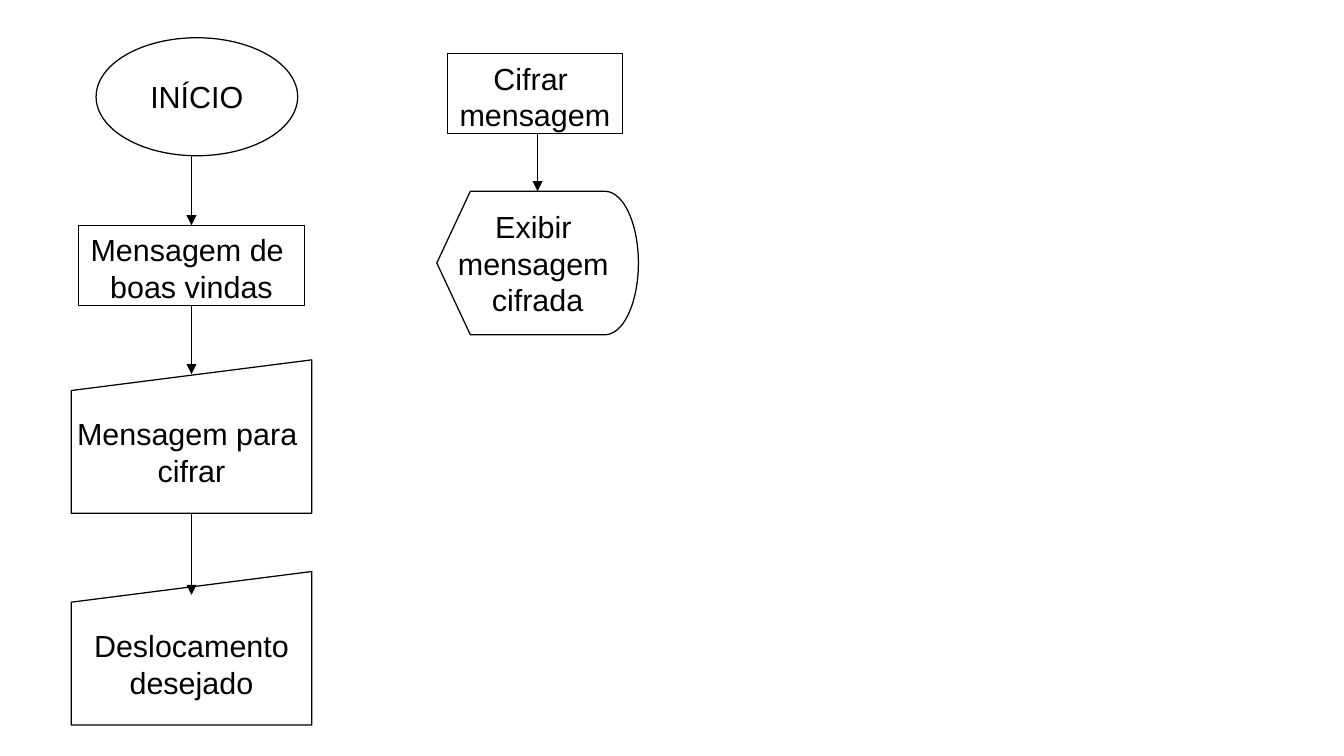
"""Draw the cipher flowchart: two columns of steps joined by arrows."""
from pptx import Presentation, util as u
from pptx.dml.color import RGBColor
from pptx.enum import shapes, text
from pptx.oxml.ns import qn
from lxml import etree

deck = Presentation()
deck.slide_width, deck.slide_height = u.Inches(11.02), u.Inches(6.2)
slide = deck.slides.add_slide(deck.slide_layouts[6])
col, row = deck.slide_width / 100, deck.slide_height / 100
kind = shapes.MSO_SHAPE
mid, top = text.MSO_ANCHOR.MIDDLE, text.MSO_ANCHOR.TOP


def paint(part, tone):
    part.solid()
    part.fore_color.rgb = RGBColor.from_string(tone)


def edge(line):
    paint(line.fill, "000000")
    line.width = u.Pt(0.75)


# Each step: preset, shift, top, width, height, arrow dip, anchor, wording
steps = {
    14.25: [
        (kind.OVAL, 0.4, 5, 15, 15.6, 0, mid, "INÍCIO"),
        (kind.RECTANGLE, 0, 29.8, 16.8, 10.6, 0, top, "Mensagem de \nboas vindas"),
        (kind.FLOWCHART_MANUAL_INPUT, 0, 47.6, 17.9, 20.3, 1.9, mid, "Mensagem para \ncifrar"),
        (kind.FLOWCHART_MANUAL_INPUT, 0, 75.6, 17.9, 20.3, 3.1, mid, "Deslocamento\ndesejado"),
    ],
    40: [
        (kind.RECTANGLE, -0.2, 7.1, 13, 10.6, 0, top, "Cifrar \nmensagem"),
        (kind.FLOWCHART_DISPLAY, 0, 25.3, 15, 19, 0, mid, "Exibir \nmensagem \ncifrada"),
    ],
}

for axis, chain in steps.items():
    last = None
    for form, shift, y, wide, high, dip, anchor, words in chain:
        left = axis + shift - wide / 2
        box = slide.shapes.add_shape(
            form, int(left * col), int(y * row), int(wide * col), int(high * row))
        box.shadow.inherit = False
        paint(box.fill, "FFFFFF")
        edge(box.line)
        frame = box.text_frame
        frame.text = words
        frame.word_wrap = False
        frame.vertical_anchor = anchor
        for para in frame.paragraphs:
            para.alignment = text.PP_ALIGN.CENTER
            for run in para.runs:
                run.font.name, run.font.size = "Arial", u.Pt(18)
                paint(run.font.fill, "000000")
        if last is not None:
            x = int(axis * col)
            link = slide.shapes.add_connector(
                shapes.MSO_CONNECTOR.STRAIGHT, x, int(last * row), x, int((y + dip) * row))
            edge(link.line)
            props = link._element.spPr
            etree.SubElement(props.find(qn("a:ln")), qn("a:tailEnd"), type="triangle")
            etree.SubElement(props, qn("a:effectLst"))
        last = y + high

deck.save("out.pptx")
